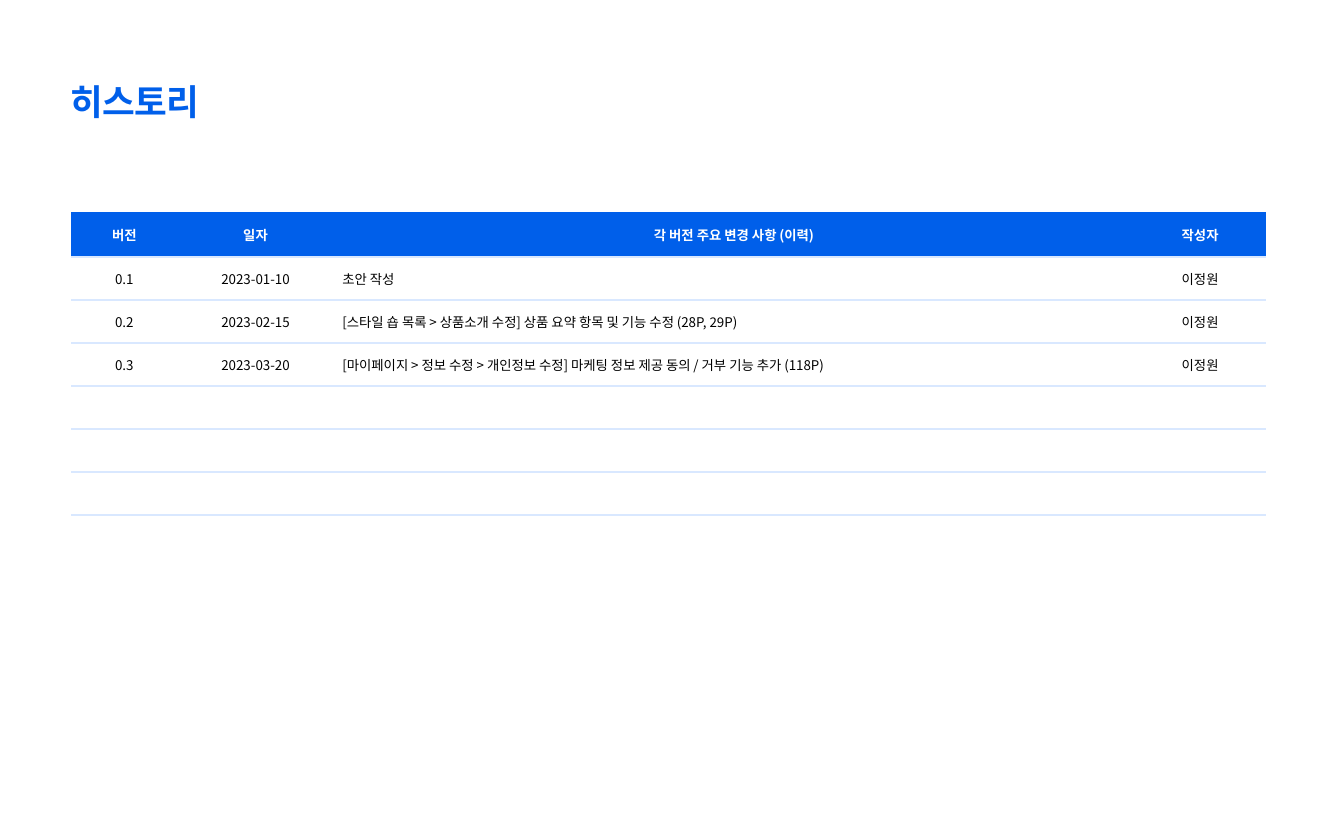
import lxml.etree
import pptx
import pptx.dml.color
import pptx.enum.text
import pptx.oxml.ns
import pptx.util

Inches = pptx.util.Inches
Pt = pptx.util.Pt
RGBColor = pptx.dml.color.RGBColor
Align = pptx.enum.text.PP_ALIGN
qn = pptx.oxml.ns.qn

BLUE = RGBColor(0x00, 0x5F, 0xEA)
PALE_BLUE = RGBColor(0xD9, 0xE8, 0xFF)
WHITE = RGBColor(0xFF, 0xFF, 0xFF)
BLACK = RGBColor(0x00, 0x00, 0x00)
FONT = "Noto Sans CJK KR"
TEXT_SIZE = 9

CM_PER_INCH = 2.54
PAGE_WIDTH_CM = 32
PAGE_HEIGHT_CM = 20
COLUMN_WIDTHS = [0.99, 1.47, 7.5, 1.24]
TABLE_HEIGHT = 3.24
HEADER_HEIGHT = 0.42
ROW_COUNT = 8
DETAIL_COLUMN = 2
HISTORY = [
    ["버전", "일자", "각 버전 주요 변경 사항 (이력)", "작성자"],
    ["0.1", "2023-01-10", "초안 작성", "이정원"],
    ["0.2", "2023-02-15", "[스타일 숍 목록 > 상품소개 수정] 상품 요약 항목 및 기능 수정 (28P, 29P)", "이정원"],
    ["0.3", "2023-03-20",
     "[마이페이지 > 정보 수정 > 개인정보 수정] 마케팅 정보 제공 동의 / 거부 기능 추가 (118P)", "이정원"],
]


def write_text(para, text, size=TEXT_SIZE, color=BLACK, bold=False, align=Align.LEFT, spacing=0):
    para.alignment = align
    span = para.add_run()
    span.text = text
    span.font.name = FONT
    span.font.size = Pt(size)
    span.font.bold = bold
    span.font.color.rgb = color
    if spacing:
        span.font._element.set("spc", str(round(spacing * 100)))


def set_borders(cell, colors):
    properties = cell._tc.get_or_add_tcPr()
    for side in ("L", "R", "T", "B"):
        line = lxml.etree.SubElement(properties, qn(f"a:ln{side}"), w=str(Pt(1)))
        if side in colors:
            fill = lxml.etree.SubElement(line, qn("a:solidFill"))
            lxml.etree.SubElement(fill, qn("a:srgbClr"), val=str(colors[side]))
        else:
            lxml.etree.SubElement(line, qn("a:noFill"))


def format_cell(cell, text, row, column):
    header = row == 0
    colors = {}
    if row > 0:
        colors["T"] = PALE_BLUE
    if row < ROW_COUNT - 1:
        colors["B"] = PALE_BLUE
    set_borders(cell, colors)
    cell.fill.solid()
    cell.fill.fore_color.rgb = BLUE if header else WHITE
    cell.vertical_anchor = pptx.enum.text.MSO_ANCHOR.MIDDLE
    cell.margin_left = cell.margin_right = Inches(0.08)
    cell.margin_top = cell.margin_bottom = Inches(0.05)
    para = cell.text_frame.paragraphs[0]
    if text:
        left = column == DETAIL_COLUMN and not header
        write_text(para, text, color=WHITE if header else BLACK, bold=header,
                   align=Align.LEFT if left else Align.CENTER)
    else:
        lxml.etree.SubElement(para._p, qn("a:endParaRPr"), sz=str(TEXT_SIZE * 100))


def add_history_table(page):
    table = page.shapes.add_table(
        ROW_COUNT, len(COLUMN_WIDTHS), Inches(0.67), Inches(1.99),
        Inches(sum(COLUMN_WIDTHS)), Inches(TABLE_HEIGHT)).table
    table.horz_banding = False
    for column, width in zip(table.columns, COLUMN_WIDTHS):
        column.width = Inches(width)
    row_height = (TABLE_HEIGHT - HEADER_HEIGHT) / (ROW_COUNT - 1)
    for row in range(ROW_COUNT):
        table.rows[row].height = Inches(row_height if row else HEADER_HEIGHT)
        texts = HISTORY[row] if row < len(HISTORY) else [""] * len(COLUMN_WIDTHS)
        for column, text in enumerate(texts):
            format_cell(table.cell(row, column), text, row, column)


def add_title(page, text):
    box = page.shapes.add_textbox(Inches(0.56), Inches(0.7), Inches(1.52), Inches(0.5))
    box.text_frame.word_wrap = False
    box.text_frame.auto_size = pptx.enum.text.MSO_AUTO_SIZE.SHAPE_TO_FIT_TEXT
    write_text(box.text_frame.paragraphs[0], text, size=24, color=BLUE, bold=True, spacing=-0.5)


def main():
    deck = pptx.Presentation()
    deck.slide_width = Inches(PAGE_WIDTH_CM / CM_PER_INCH)
    deck.slide_height = Inches(PAGE_HEIGHT_CM / CM_PER_INCH)
    page = deck.slides.add_slide(deck.slide_layouts[6])
    add_history_table(page)
    add_title(page, "히스토리")
    deck.save("out.pptx")


if __name__ == "__main__":
    main()
